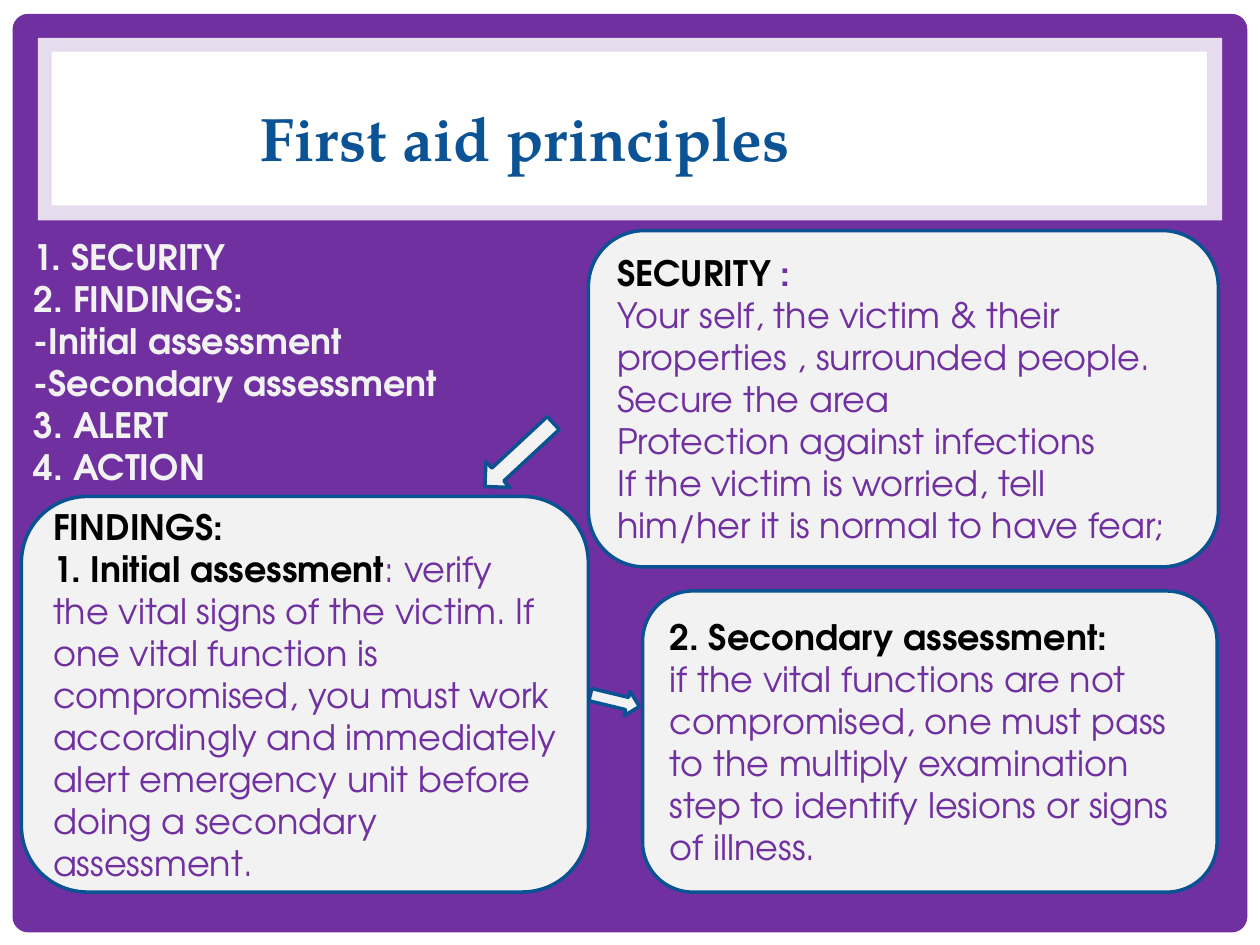
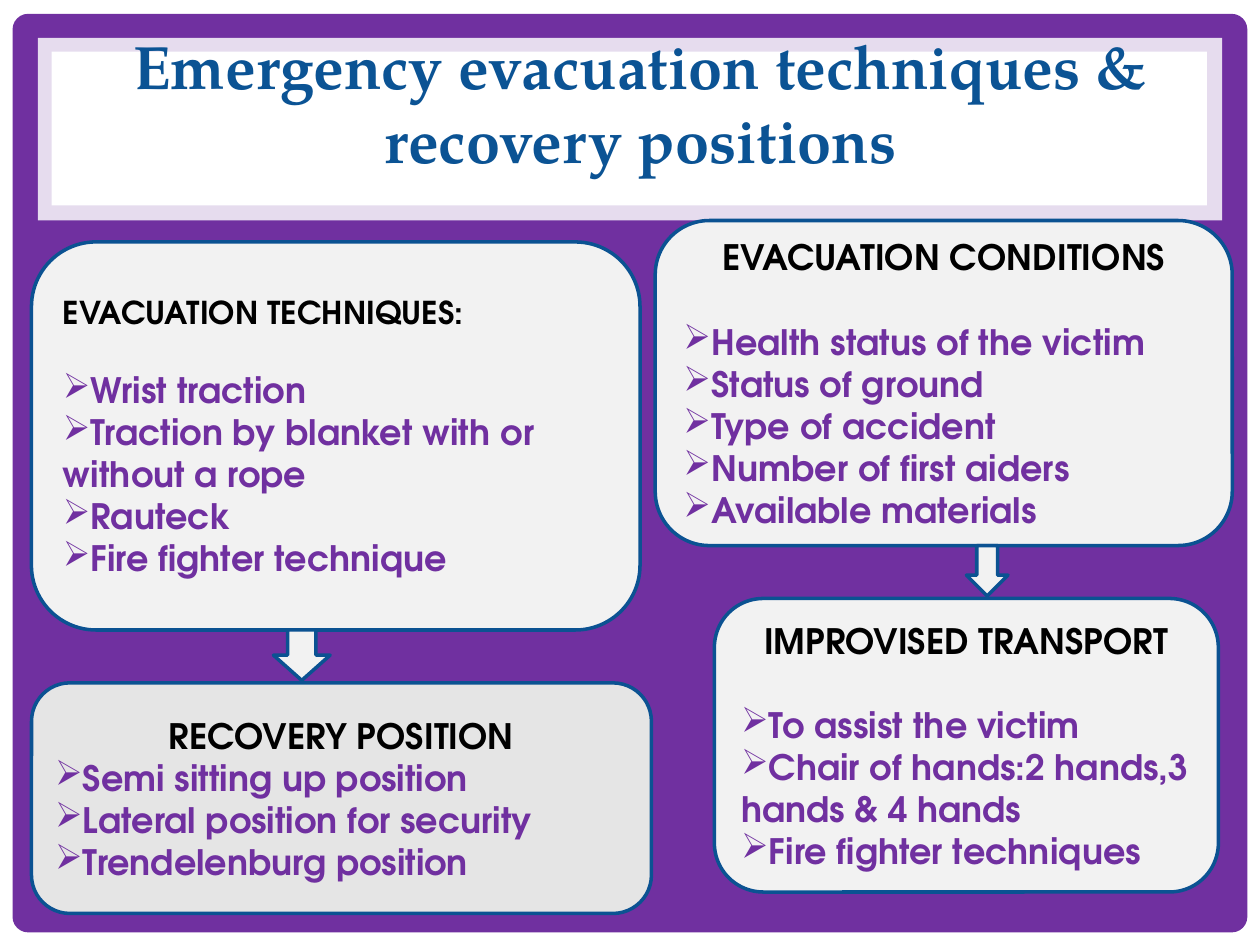
from lxml import etree
from pptx import Presentation
from pptx.dml.color import RGBColor
from pptx.enum.shapes import MSO_SHAPE
from pptx.enum.text import MSO_ANCHOR, PP_ALIGN
from pptx.oxml.ns import qn
from pptx.util import Inches, Pt

PURPLE = RGBColor(0x70, 0x30, 0xA0)
WHITE = RGBColor(0xFF, 0xFF, 0xFF)
BLACK = RGBColor(0, 0, 0)
LIGHT = RGBColor(0xF2, 0xF2, 0xF2)
GREY = RGBColor(0xE5, 0xE5, 0xE5)
OUTLINE = RGBColor(0x0B, 0x52, 0x92)
TITLE_BLUE = RGBColor(0x0B, 0x53, 0x94)
TITLE_FONT = "TeX Gyre Pagella"
BODY_FONT = "TeX Gyre Adventor"
LEFT, CENTER = PP_ALIGN.LEFT, PP_ALIGN.CENTER

HEAD = (BLACK, True, 20)
SMALL_HEAD = (BLACK, True, 18)
PLAIN = (PURPLE, False, 20)
STRONG = (PURPLE, True, 20)
SUMMARY = (LIGHT, True, 20)

PRINCIPLES = {
    "title": ("First aid principles", (0.42, 0.25, 7.5, 1.67)),
    "summary": ((0.17, 1.82, 4, 2.13), [
        "1. SECURITY", "2. FINDINGS:", "-Initial assessment",
        "-Secondary assessment", "3. ALERT", "4. ACTION"]),
    "text_cards": [
        ((4.67, 1.83, 5, 2.67), [
            [("SECURITY", HEAD), (" :", STRONG)],
            [("Your self, the victim & their properties , surrounded people.", PLAIN)],
            [("Secure the area", PLAIN)],
            [("Protection against infections", PLAIN)],
            [("If the victim is worried, tell him/her it is normal to have fear;", PLAIN)]]),
        ((0.17, 3.94, 4.5, 3.14), [
            [("FINDINGS:", HEAD)],
            [("1. Initial assessment", HEAD),
             (": verify the vital signs of the victim. If one vital function is "
              "compromised, you must work accordingly and immediately alert "
              "emergency unit before doing a secondary assessment.", PLAIN)]]),
        ((5.1, 4.69, 4.56, 2.39), [
            [("2. Secondary assessment:", HEAD)],
            [("if the vital functions are not compromised, one must pass to the "
              "multiply examination step to identify lesions or signs of illness.", PLAIN)]]),
    ],
    "arrows": [((3.98, 3.24, 0.28, 0.74), 47.1), ((4.78, 5.36, 0.2, 0.4), 283.6)],
}

EVACUATION = {
    "title": ("Emergency evacuation techniques & recovery positions", (0.17, 0, 9.83, 1.62)),
    "list_cards": [
        ((0.25, 1.92, 4.83, 3.08), LIGHT, "EVACUATION TECHNIQUES:", SMALL_HEAD, LEFT, 21.6, [
            "Wrist traction", "Traction by blanket with or without a rope",
            "Rauteck", "Fire fighter technique"]),
        ((0.25, 5.42, 4.92, 1.83), GREY, "RECOVERY POSITION", HEAD, CENTER, 0, [
            "Semi sitting up position", "Lateral position for security",
            "Trendelenburg position"]),
        ((5.2, 1.75, 4.58, 2.58), LIGHT, "EVACUATION CONDITIONS", HEAD, CENTER, 24, [
            "Health status of the victim", "Status of ground", "Type of accident",
            "Number of first aiders", "Available materials"]),
        ((5.67, 4.75, 4, 2.33), LIGHT, "IMPROVISED TRANSPORT", HEAD, CENTER, 24, [
            "To assist the victim", "Chair of hands:2 hands,3 hands & 4 hands",
            "Fire fighter techniques"]),
    ],
    "arrows": [((2.17, 5, 0.45, 0.4), 0), ((7.67, 4.33, 0.33, 0.4), 0)],
}


def add_shape(s, kind, at, fill, line=None):
    sp = s.shapes.add_shape(kind, *map(Inches, at))
    sp.shadow.inherit = False
    sp.fill.solid()
    sp.fill.fore_color.rgb = fill
    if line is None:
        sp.line.fill.background()
    else:
        sp.line.color.rgb = line
        sp.line.width = Pt(2)
    return sp


def add_textbox(s, at):
    tf = s.shapes.add_textbox(*map(Inches, at)).text_frame
    tf.word_wrap = True
    return tf


def add_run(p, text, style, font=BODY_FONT):
    r = p.add_run()
    r.text = text
    r.font.name = font
    r.font.color.rgb, r.font.bold, size = style
    r.font.size = Pt(size)


def write(tf, paragraphs):
    for i, runs in enumerate(paragraphs):
        p = tf.paragraphs[0] if i == 0 else tf.add_paragraph()
        p.alignment = LEFT
        for text, style in runs:
            add_run(p, text, style)


def add_card(s, at, fill, paragraphs):
    sp = add_shape(s, MSO_SHAPE.ROUNDED_RECTANGLE, at, fill, OUTLINE)
    tf = sp.text_frame
    tf.word_wrap = True
    tf.vertical_anchor = MSO_ANCHOR.MIDDLE
    write(tf, paragraphs)
    return tf


def add_list_card(s, at, fill, heading, head_style, align, gap, items):
    tf = add_card(s, at, fill, [[(heading, head_style)]] + [[(item, STRONG)] for item in items])
    head, *bullets = tf.paragraphs
    head.alignment = align
    for p in bullets:
        etree.SubElement(p._p.get_or_add_pPr(), qn("a:buChar")).set("char", "➢")
    if gap:
        bullets[0].space_before = Pt(gap)


def add_frame(s):
    s.background.fill.solid()
    s.background.fill.fore_color.rgb = WHITE
    panel = add_shape(s, MSO_SHAPE.ROUNDED_RECTANGLE, (0.1, 0.11, 9.8, 7.29), PURPLE)
    panel.adjustments[0] = 0.017
    band = add_shape(s, MSO_SHAPE.RECTANGLE, (0.3, 0.3, 9.4, 1.45), WHITE)
    color = band._element.spPr.find(qn("a:solidFill"))[0]
    etree.SubElement(color, qn("a:alpha")).set("val", "83000")
    add_shape(s, MSO_SHAPE.RECTANGLE, (0.41, 0.41, 9.17, 1.22), WHITE)


def add_title(s, text, at):
    tf = add_textbox(s, at)
    tf.vertical_anchor = MSO_ANCHOR.MIDDLE
    p = tf.paragraphs[0]
    p.alignment = CENTER
    add_run(p, text, (TITLE_BLUE, True, 35), TITLE_FONT)


def build_slide(prs, content):
    s = prs.slides.add_slide(prs.slide_layouts[6])
    add_frame(s)
    if "summary" in content:
        at, lines = content["summary"]
        write(add_textbox(s, at), [[(line, SUMMARY)] for line in lines])
    add_title(s, *content["title"])
    for at, paragraphs in content.get("text_cards", []):
        add_card(s, at, LIGHT, paragraphs)
    for card in content.get("list_cards", []):
        add_list_card(s, *card)
    for at, angle in content["arrows"]:
        add_shape(s, MSO_SHAPE.DOWN_ARROW, at, LIGHT, OUTLINE).rotation = angle


def main():
    prs = Presentation()
    prs.slide_width, prs.slide_height = Inches(10), Inches(7.5)
    for content in (PRINCIPLES, EVACUATION):
        build_slide(prs, content)
    prs.save("out.pptx")


if __name__ == "__main__":
    main()
